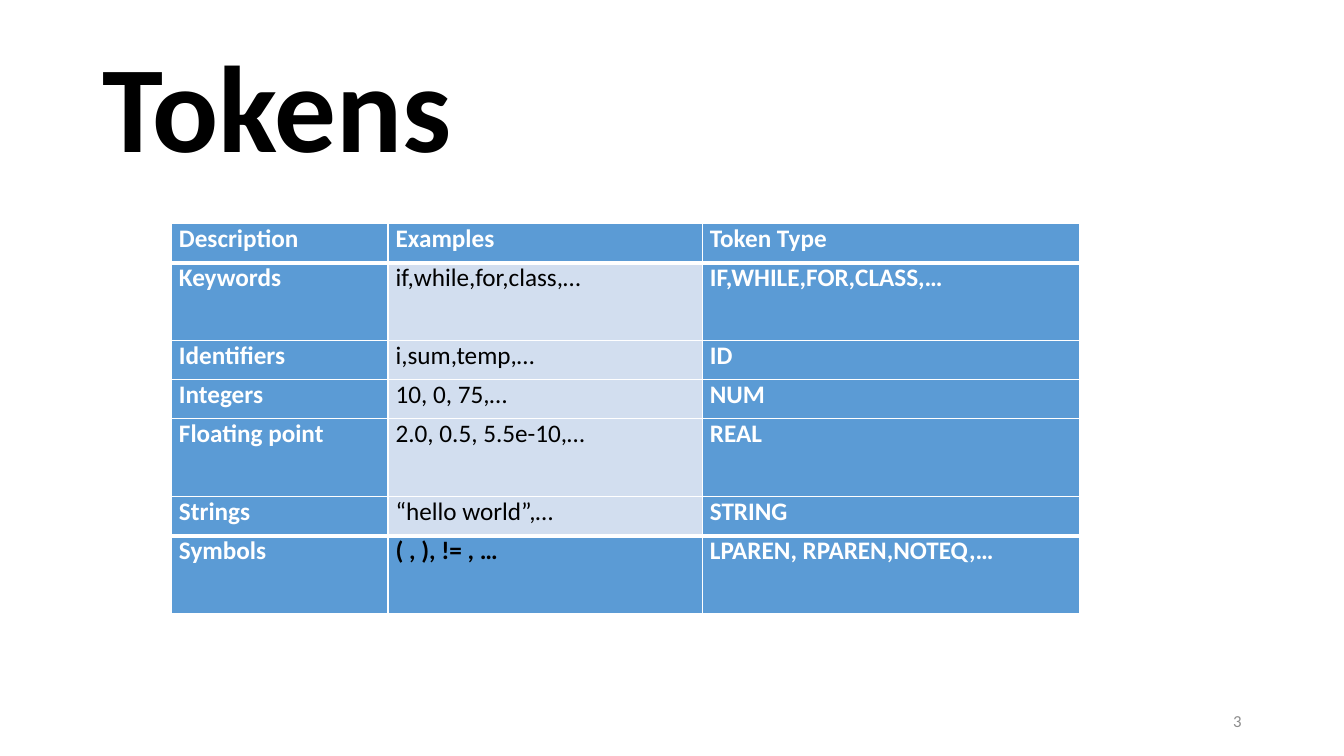
from lxml.etree import SubElement
from pptx import Presentation
from pptx.dml.color import RGBColor as RGB
from pptx.enum.text import MSO_ANCHOR as ANCHOR, PP_ALIGN as ALIGN
from pptx.oxml.ns import qn
from pptx.util import Cm, Pt

# Content
TITLE = "Tokens"
PAGE = "3"
ROWS = [
    ("Description", "Examples", "Token Type"),
    ("Keywords", "if,while,for,class,…", "IF,WHILE,FOR,CLASS,…"),
    ("Identifiers", "i,sum,temp,…", "ID"),
    ("Integers", "10, 0, 75,…", "NUM"),
    ("Floating point", "2.0, 0.5, 5.5e-10,…", "REAL"),
    ("Strings", "“hello world”,…", "STRING"),
    ("Symbols", "( , ), != , …", "LPAREN, RPAREN,NOTEQ,…"),
]
TALL_ROWS = {"Keywords", "Floating point", "Symbols"}

# Layout in cm and style
COL_W = [5.46, 7.92, 9.5]
ROW_H, TALL_H = 0.98, 1.97
TABLE_AT = (4.32, 5.64)
THIN, THICK = 1, 3
FONT = "Calibri"
COLORS = {"blue": "5B9BD5", "pale": "D2DEEF", "white": "FFFFFF",
          "black": "000000", "gray": "8C8C8C"}


def write(tf, text, size, color, bold=False, **paragraph):
    p = tf.paragraphs[0]
    for name, value in paragraph.items():
        setattr(p, name, value)
    r = p.add_run()
    r.text = text
    for name, value in {"name": FONT, "size": Pt(size), "bold": bold}.items():
        setattr(r.font, name, value)
    r.font.color.rgb = RGB.from_string(COLORS[color])


def add_text(slide, box, *args, **kwargs):
    tf = slide.shapes.add_textbox(*map(Cm, box)).text_frame
    tf.word_wrap = True
    tf.vertical_anchor = ANCHOR.MIDDLE
    write(tf, *args, **kwargs)


def set_borders(cell, top, bottom):
    tc_pr = cell._tc.get_or_add_tcPr()
    widths = {"L": THIN, "R": THIN, "T": top, "B": bottom}
    for side, width in widths.items():
        ln = SubElement(tc_pr, qn(f"a:ln{side}"), w=str(Pt(width)))
        fill = SubElement(ln, qn("a:solidFill"))
        SubElement(fill, qn("a:srgbClr"), val=COLORS["white"])


def add_token_table(slide):
    heights = [TALL_H if row[0] in TALL_ROWS else ROW_H for row in ROWS]
    box = (*TABLE_AT, sum(COL_W), sum(heights))
    table = slide.shapes.add_table(len(ROWS), len(COL_W), *map(Cm, box)).table
    for col, width in zip(table.columns, COL_W):
        col.width = Cm(width)
    margins = {"margin_left": Cm(0.19), "margin_right": Cm(0.19),
               "margin_top": 0, "margin_bottom": 0}
    last = len(ROWS) - 1
    for i, row in enumerate(ROWS):
        table.rows[i].height = Cm(heights[i])
        for j, text in enumerate(row):
            cell = table.cell(i, j)
            for name, value in margins.items():
                setattr(cell, name, value)
            # Heavier rules below the header and above the last row
            set_borders(cell, THICK if i in (1, last) else THIN,
                        THICK if i in (0, last - 1) else THIN)
            example = j == 1 and i > 0
            plain = example and i < last
            cell.fill.solid()
            cell.fill.fore_color.rgb = RGB.from_string(
                COLORS["pale" if plain else "blue"])
            write(cell.text_frame, text, 18,
                  "black" if example else "white", bold=not plain)


def main():
    prs = Presentation()
    prs.slide_width, prs.slide_height = Cm(33.87), Cm(19.05)
    s = prs.slides.add_slide(prs.slide_layouts[6])
    # Title, table, page number
    add_text(s, (2.33, 1.01, 29.21, 3.68), TITLE, 88, "black", bold=True,
             line_spacing=0.9)
    add_token_table(s)
    add_text(s, (23.92, 17.66, 7.62, 1.01), PAGE, 12, "gray",
             alignment=ALIGN.RIGHT)
    prs.save("out.pptx")


if __name__ == "__main__":
    main()
